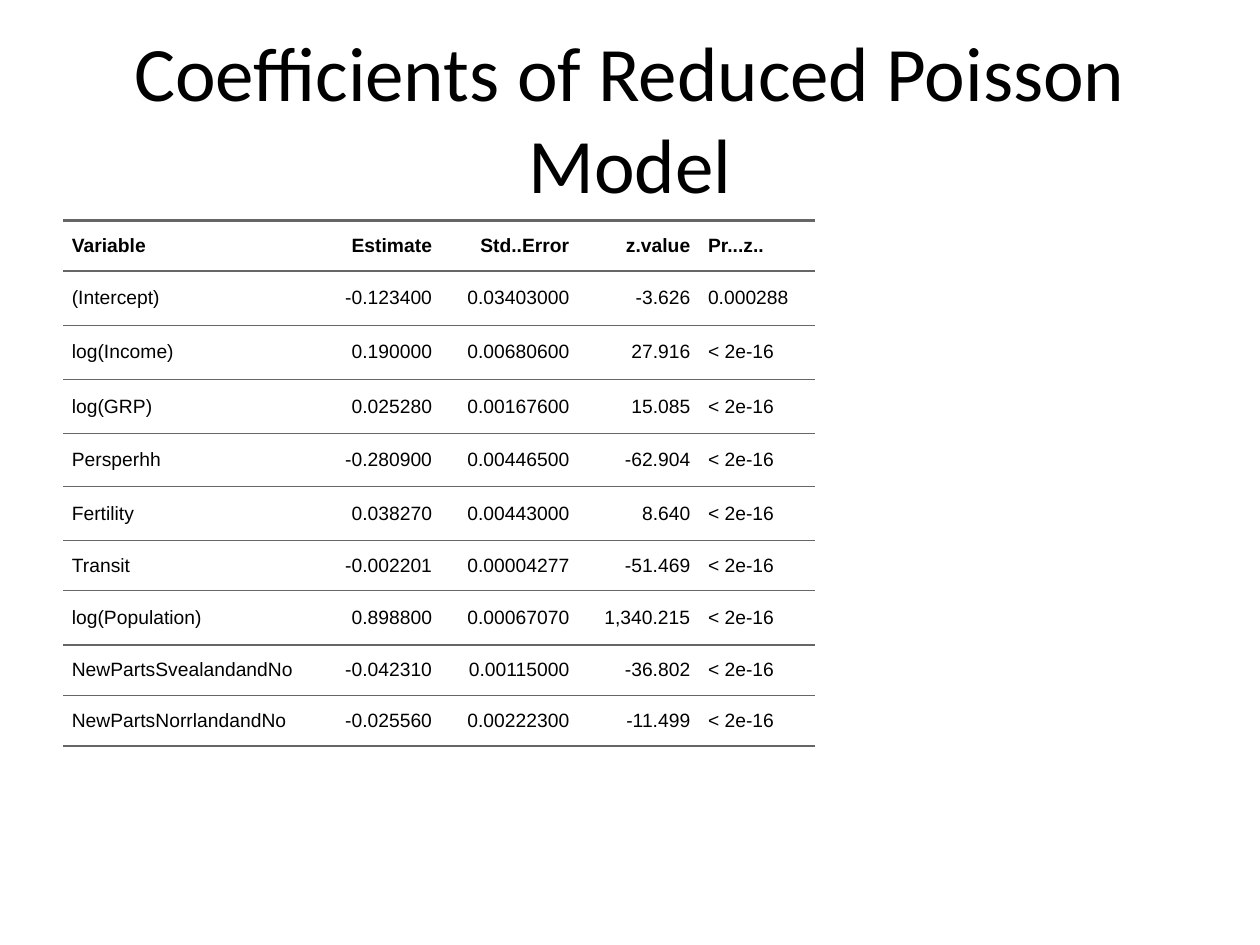
import pptx
import pptx.util
import pptx.dml.color
import pptx.enum.text
import pptx.oxml.ns
import lxml.etree
from dataclasses import dataclass

Inches, Pt = pptx.util.Inches, pptx.util.Pt
ALIGN, ANCHOR = pptx.enum.text.PP_ALIGN, pptx.enum.text.MSO_ANCHOR


@dataclass(frozen=True)
class Theme:
    text: str = "000000"
    rule: str = "666666"
    title_font: str = "Calibri"
    table_font: str = "Arial"
    title_size: int = 44
    table_size: int = 11
    thick: float = 1.5
    thin: float = 0.75


T = Theme()


def write(tf, text, font=T.table_font, size=T.table_size, bold=False,
          align=ALIGN.LEFT, space=0, indent=0):
    p = tf.paragraphs[0]
    p.alignment = align
    p.space_before = p.space_after = Pt(space)
    for side in ("marL", "marR"):
        p._p.get_or_add_pPr().set(side, str(Inches(indent)))
    r = p.add_run()
    r.text = text
    r.font.name, r.font.size, r.font.bold = font, Pt(size), bold
    r.font.color.rgb = pptx.dml.color.RGBColor.from_string(T.text)


def set_borders(cell, top, bottom):
    tcPr = cell._tc.get_or_add_tcPr()
    qn = pptx.oxml.ns.qn
    sides = (("a:lnL", 0), ("a:lnR", 0), ("a:lnT", top), ("a:lnB", bottom))
    for i, (tag, width) in enumerate(sides):
        ln = lxml.etree.Element(qn(tag), w=str(Pt(width)))
        if width:
            fill = lxml.etree.SubElement(ln, qn("a:solidFill"))
            lxml.etree.SubElement(fill, qn("a:srgbClr"), val=T.rule)
        else:
            lxml.etree.SubElement(ln, qn("a:noFill"))
        tcPr.insert(i, ln)


prs = pptx.Presentation()
prs.slide_width, prs.slide_height = Inches(10), Inches(7.5)
s = prs.slides.add_slide(prs.slide_layouts[6])

# Title
sp = s.shapes.add_textbox(Inches(0.5), Inches(0.3), Inches(9), Inches(1.25))
tf = sp.text_frame
tf.word_wrap = True
tf.vertical_anchor = ANCHOR.MIDDLE
write(tf, "Coefficients of Reduced Poisson Model",
      font=T.title_font, size=T.title_size, align=ALIGN.CENTER)

# Coefficient table
rows = [
    ("Variable", "Estimate", "Std..Error", "z.value", "Pr...z.."),
    ("(Intercept)", "-0.123400", "0.03403000", "-3.626", "0.000288"),
    ("log(Income)", "0.190000", "0.00680600", "27.916", "< 2e-16"),
    ("log(GRP)", "0.025280", "0.00167600", "15.085", "< 2e-16"),
    ("Persperhh", "-0.280900", "0.00446500", "-62.904", "< 2e-16"),
    ("Fertility", "0.038270", "0.00443000", "8.640", "< 2e-16"),
    ("Transit", "-0.002201", "0.00004277", "-51.469", "< 2e-16"),
    ("log(Population)", "0.898800", "0.00067070", "1,340.215", "< 2e-16"),
    ("NewPartsSvealandandNo", "-0.042310", "0.00115000", "-36.802", "< 2e-16"),
    ("NewPartsNorrlandandNo", "-0.025560", "0.00222300", "-11.499", "< 2e-16"),
]
widths = [2.03, 0.97, 1.09, 0.96, 0.92]
heights = [0.4, 0.43, 0.43, 0.43, 0.42, 0.43, 0.4, 0.43, 0.4, 0.4]
aligns = [ALIGN.LEFT, ALIGN.RIGHT, ALIGN.RIGHT, ALIGN.RIGHT, ALIGN.LEFT]

tbl = s.shapes.add_table(len(rows), len(widths), Inches(0.5), Inches(1.75),
                         Inches(sum(widths)), Inches(sum(heights))).table
tbl.first_row = tbl.horz_banding = False
for col, width in zip(tbl.columns, widths):
    col.width = Inches(width)
for row, height in zip(tbl.rows, heights):
    row.height = Inches(height)

# Cells: thick rules around the header and at the foot, thin rules between
last = len(rows) - 1
for i, values in enumerate(rows):
    top = T.thick if i in (0, 1) else T.thin
    bottom = T.thick if i in (0, last) else T.thin
    for j, value in enumerate(values):
        cell = tbl.cell(i, j)
        cell.fill.background()
        cell.vertical_anchor = ANCHOR.MIDDLE
        cell.margin_left = cell.margin_right = 0
        cell.margin_top = cell.margin_bottom = Inches(0.07)
        write(cell.text_frame, value, bold=i == 0, align=aligns[j],
              space=5, indent=0.07)
        set_borders(cell, top, bottom)

prs.save("out.pptx")
